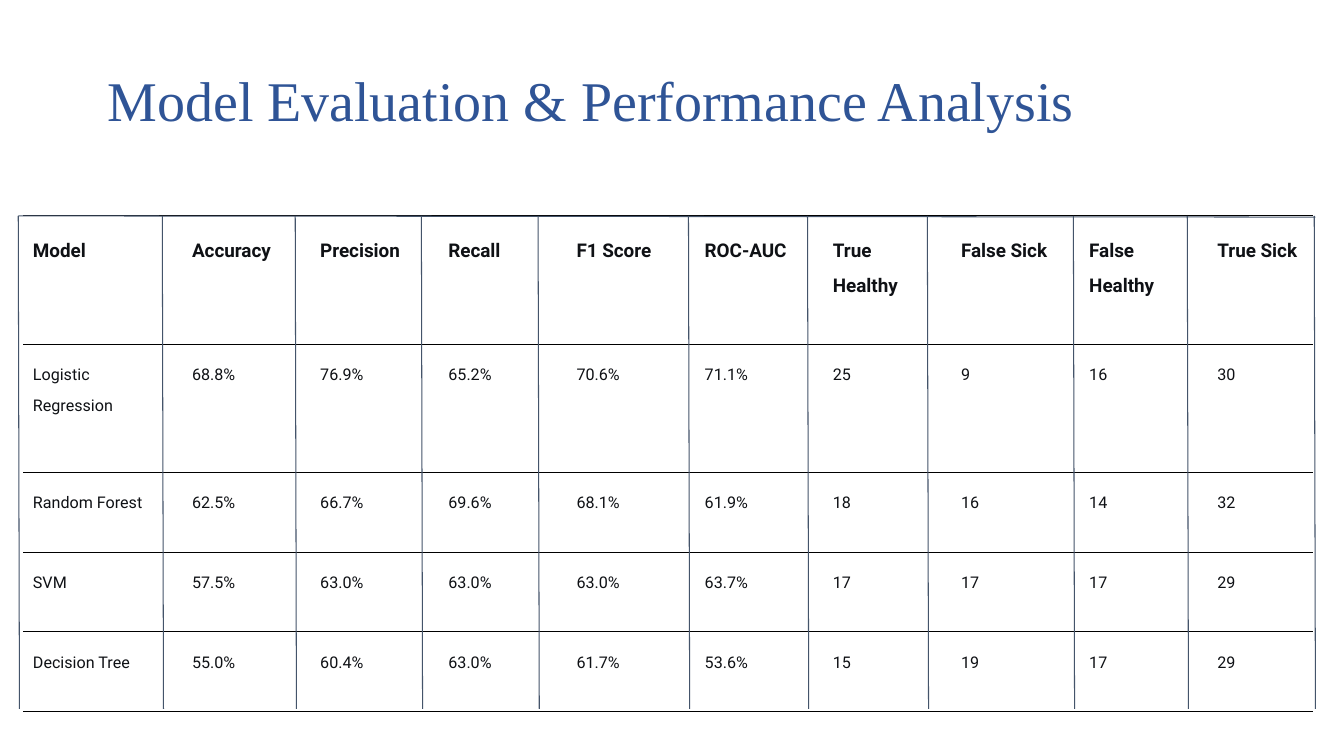
import pptx
import pptx.dml.color
import pptx.enum.shapes
import pptx.oxml
import pptx.oxml.ns
import pptx.util
from lxml import etree
from pptx.util import Cm

COLOURS = {"title": "2F5496", "text": "0F1115", "cell": "FFFFFF", "border": "000000", "rule": "44546A"}

COLUMN_WIDTHS = [3.84] + [3.23] * 8 + [2.84]
ROW_HEIGHTS = [3.23, 3.23, 2.01, 2.01, 2.01]
TABLE_LEFT, TABLE_TOP, TABLE_BOTTOM = 0.58, 5.44, 17.86
RULE_LEFTS = [0.46, 4.09, 7.44, 10.62, 13.56, 17.35, 20.35, 23.37, 27.05, 29.92, 33.12]
RULE_SLANT = 0.03

RESULTS = [
    ["Model", "Accuracy", "Precision", "Recall", "F1 Score", "ROC-AUC",
     "True Healthy", "False Sick", "False Healthy", "True Sick"],
    ["Logistic Regression", "68.8%", "76.9%", "65.2%", "70.6%", "71.1%", "25", "9", "16", "30"],
    ["Random Forest", "62.5%", "66.7%", "69.6%", "68.1%", "61.9%", "18", "16", "14", "32"],
    ["SVM", "57.5%", "63.0%", "63.0%", "63.0%", "63.7%", "17", "17", "17", "29"],
    ["Decision Tree", "55.0%", "60.4%", "63.0%", "61.7%", "53.6%", "15", "19", "17", "29"],
]


def colour(name):
    """Return the named colour."""
    return pptx.dml.color.RGBColor.from_string(COLOURS[name])


def add_span(para, text, font, size, shade, bold=False):
    """Add one run of styled text."""
    span = para.add_run()
    span.text = text
    span.font.name = font
    span.font.size = pptx.util.Pt(size)
    span.font.bold = bold
    span.font.color.rgb = colour(shade)


def add_title(page, text):
    """Add the slide title."""
    box = page.shapes.add_textbox(Cm(2.46), Cm(0.56), Cm(28.93), Cm(3.5))
    frame = box.text_frame
    frame.word_wrap = True
    frame.margin_top = Cm(1.08)
    add_span(frame.paragraphs[0], text, "Times New Roman", 40, "title")


def set_borders(cell):
    """Give a cell horizontal borders only."""
    properties = cell._tc.get_or_add_tcPr()
    for side in ("L", "R", "T", "B"):
        line = etree.SubElement(properties, pptx.oxml.ns.qn(f"a:ln{side}"), w=str(pptx.util.Pt(0.75)))
        if side in "LR":
            etree.SubElement(line, pptx.oxml.ns.qn("a:noFill"))
        else:
            fill = etree.SubElement(line, pptx.oxml.ns.qn("a:solidFill"))
            etree.SubElement(fill, pptx.oxml.ns.qn("a:srgbClr"), val=COLOURS["border"])


def fill_cell(cell, text, header, first, last):
    """Style one table cell and write its text."""
    set_borders(cell)
    cell.fill.solid()
    cell.fill.fore_color.rgb = colour("cell")
    cell.margin_left = Cm(0.25 if first else 0.42)
    cell.margin_right = Cm(0.25 if last else 0.42)
    cell.margin_top = cell.margin_bottom = Cm(0.25)
    para = cell.text_frame.paragraphs[0]
    para.line_spacing = 1.63
    add_span(para, text, "Roboto", 13.5 if header else 11.5, "text", header)


def add_results(page):
    """Add the table of model results."""
    frame = page.shapes.add_table(len(ROW_HEIGHTS), len(COLUMN_WIDTHS), Cm(TABLE_LEFT), Cm(TABLE_TOP),
                                  Cm(sum(COLUMN_WIDTHS)), Cm(sum(ROW_HEIGHTS)))
    table = frame.table
    table.horz_banding = False
    for column, width in zip(table.columns, COLUMN_WIDTHS):
        column.width = Cm(width)
    for row, height in zip(table.rows, ROW_HEIGHTS):
        row.height = Cm(height)
    final = len(COLUMN_WIDTHS) - 1
    for i, values in enumerate(RESULTS):
        for j, text in enumerate(values):
            fill_cell(table.cell(i, j), text, i == 0, j == 0, j == final)


def add_rule(page, left, top, right, bottom):
    """Add a thin straight line."""
    rule = page.shapes.add_connector(pptx.enum.shapes.MSO_CONNECTOR.STRAIGHT,
                                     Cm(left), Cm(top), Cm(right), Cm(bottom))
    rule.line.color.rgb = colour("rule")
    rule.line.width = pptx.util.Pt(0.75)
    etree.SubElement(rule._element.spPr, pptx.oxml.ns.qn("a:effectLst"))


def main():
    """Build and save the slide."""
    deck = pptx.Presentation()
    deck.slide_width, deck.slide_height = Cm(33.87), Cm(19.05)
    page = deck.slides.add_slide(deck.slide_layouts[6])
    add_title(page, "Model Evaluation & Performance Analysis")
    add_results(page)
    for left in RULE_LEFTS:
        add_rule(page, left, TABLE_TOP, left + RULE_SLANT, TABLE_BOTTOM)
    add_rule(page, RULE_LEFTS[0], TABLE_TOP, RULE_LEFTS[-1] + RULE_SLANT, TABLE_TOP + RULE_SLANT)
    deck.save("out.pptx")


if __name__ == "__main__":
    main()
